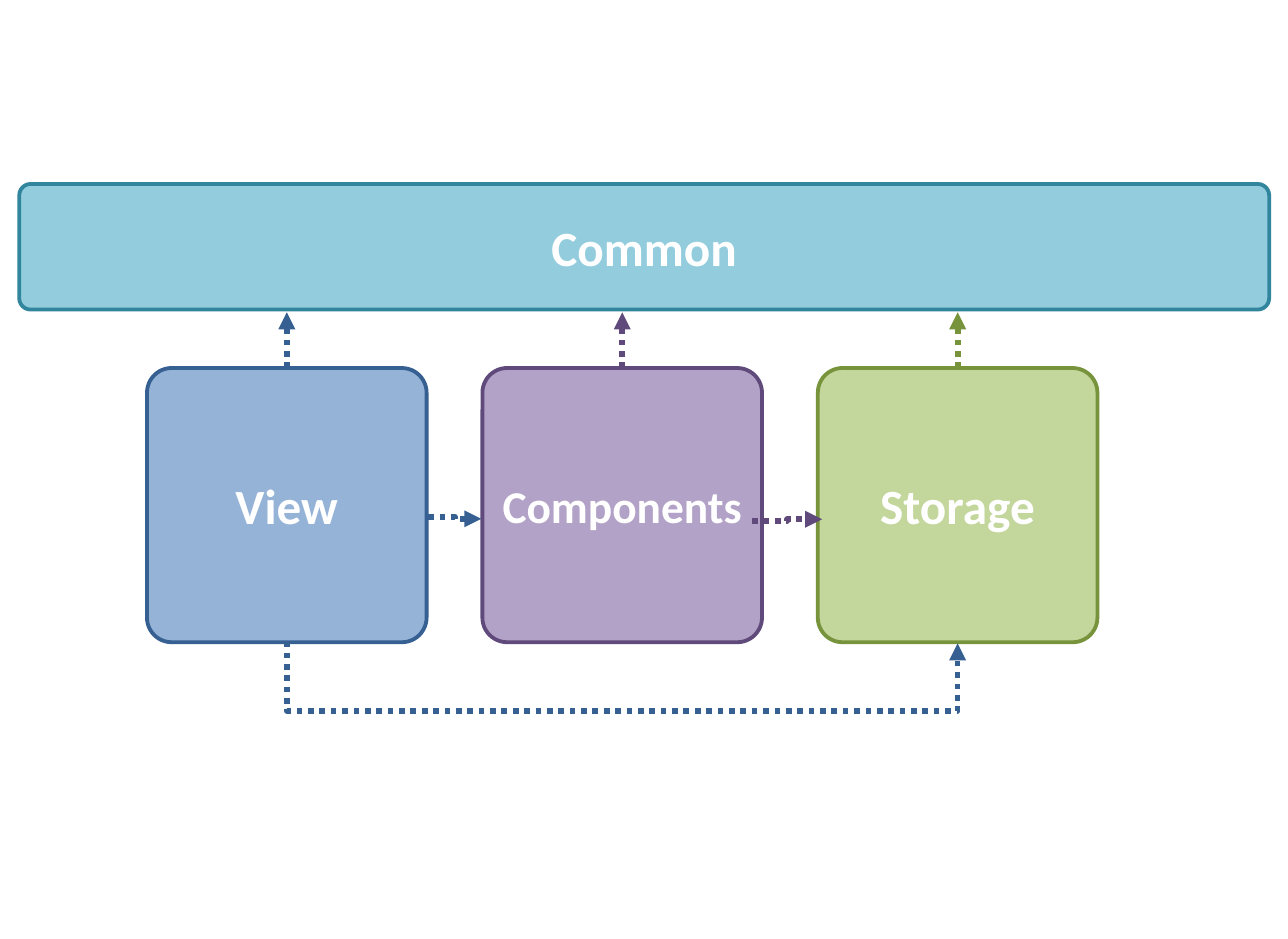
import dataclasses
import typing

import lxml.etree
import pptx
import pptx.dml.color
import pptx.enum.dml
import pptx.enum.shapes
import pptx.enum.text
import pptx.oxml.ns
import pptx.util

Cm, Pt, qn = pptx.util.Cm, pptx.util.Pt, pptx.oxml.ns.qn
STRAIGHT = pptx.enum.shapes.MSO_CONNECTOR.STRAIGHT
ELBOW = pptx.enum.shapes.MSO_CONNECTOR.ELBOW

BLUE, PURPLE, GREEN = "376092", "604A7B", "77933C"

# Layout in centimetres
BOX_LEFT, BOX_TOP, BOX_W, BOX_H, BOX_PITCH = 2.74, 6.86, 5.21, 5.11, 6.25
ARROW_TOP = 5.82
LOOP_DROP, LOOP_STEP = 1.3, 0.04


@dataclasses.dataclass
class Box:
    text: str
    left: float
    top: float
    width: float
    height: float
    fill: str
    line: str
    size: int = 26


@dataclasses.dataclass
class Arrow:
    x1: float
    y1: float
    x2: float
    y2: float
    color: str
    kind: typing.Any = ELBOW


def rgb(color: str) -> pptx.dml.color.RGBColor:
    return pptx.dml.color.RGBColor.from_string(color)


def write(tf, text: str, *, size: int, color: str = "FFFFFF", bold: bool = True,
          font: str = "Calibri") -> None:
    tf.margin_left = tf.margin_right = 0
    tf.vertical_anchor = pptx.enum.text.MSO_ANCHOR.MIDDLE
    p = tf.paragraphs[0]
    p.alignment = pptx.enum.text.PP_ALIGN.CENTER
    r = p.add_run()
    r.text = text
    r.font.name, r.font.size, r.font.bold = font, Pt(size), bold
    r.font.color.rgb = rgb(color)


def draw_box(s, box: Box) -> None:
    sp = s.shapes.add_shape(pptx.enum.shapes.MSO_SHAPE.ROUNDED_RECTANGLE, Cm(box.left),
                            Cm(box.top), Cm(box.width), Cm(box.height))
    sp.adjustments[0] = 0.09
    sp.shadow.inherit = False
    sp.fill.solid()
    sp.fill.fore_color.rgb = rgb(box.fill)
    sp.line.color.rgb = rgb(box.line)
    sp.line.width = Pt(2)
    write(sp.text_frame, box.text, size=box.size)


def draw_arrow(s, arrow: Arrow):
    cx = s.shapes.add_connector(arrow.kind, Cm(arrow.x1), Cm(arrow.y1),
                                Cm(arrow.x2), Cm(arrow.y2))
    cx.line.color.rgb = rgb(arrow.color)
    cx.line.width = Pt(3)
    cx.line.dash_style = pptx.enum.dml.MSO_LINE.ROUND_DOT
    lxml.etree.SubElement(cx.line._get_or_add_ln(), qn("a:tailEnd"), type="triangle")
    lxml.etree.SubElement(cx._element.spPr, qn("a:effectLst"))
    return cx


def draw_loop(s, x1: float, x2: float, y: float, color: str) -> None:
    """Elbow arrow that leaves downwards, runs right and comes back up."""
    mid, half, step = (x1 + x2) / 2, (x2 - x1) / 2, LOOP_STEP / 2
    # Laid out upright, then turned a quarter to the left about its centre
    cx = draw_arrow(s, Arrow(mid + step, y - half, mid - step, y + half, color))
    spPr = cx._element.spPr
    spPr.find(qn("a:xfrm")).set("rot", "16200000")
    geom = spPr.find(qn("a:prstGeom"))
    av = geom.find(qn("a:avLst"))
    if av is None:
        av = lxml.etree.SubElement(geom, qn("a:avLst"))
    drop = round(LOOP_DROP / LOOP_STEP * 100000)
    lxml.etree.SubElement(av, qn("a:gd"), name="adj1", fmla=f"val {drop}")


def main() -> None:
    prs = pptx.Presentation()
    prs.slide_width, prs.slide_height = Cm(24), Cm(17.5)
    s = prs.slides.add_slide(prs.slide_layouts[6])

    # Shared bar and the three modules below it
    draw_box(s, Box("Common", 0.36, 3.43, 23.29, 2.34, "93CDDD", "31859C"))
    modules = [("View", "95B3D7", BLUE, 26), ("Components", "B3A2C7", PURPLE, 24),
               ("Storage", "C3D69B", GREEN, 26)]
    centers = []
    for i, (text, fill, line, size) in enumerate(modules):
        left = BOX_LEFT + i * BOX_PITCH
        center = left + BOX_W / 2
        centers.append(center)
        draw_box(s, Box(text, left, BOX_TOP, BOX_W, BOX_H, fill, line, size))
        draw_arrow(s, Arrow(center, BOX_TOP, center, ARROW_TOP, line, STRAIGHT))

    # Arrows between neighbours
    for arrow in (Arrow(7.98, 9.63, 8.97, 9.67, BLUE),
                  Arrow(14.02, 9.71, 15.32, 9.68, PURPLE)):
        draw_arrow(s, arrow)

    # View to Storage, under the modules
    draw_loop(s, centers[0], centers[-1], BOX_TOP + BOX_H, BLUE)

    prs.save("out.pptx")


if __name__ == "__main__":
    main()
